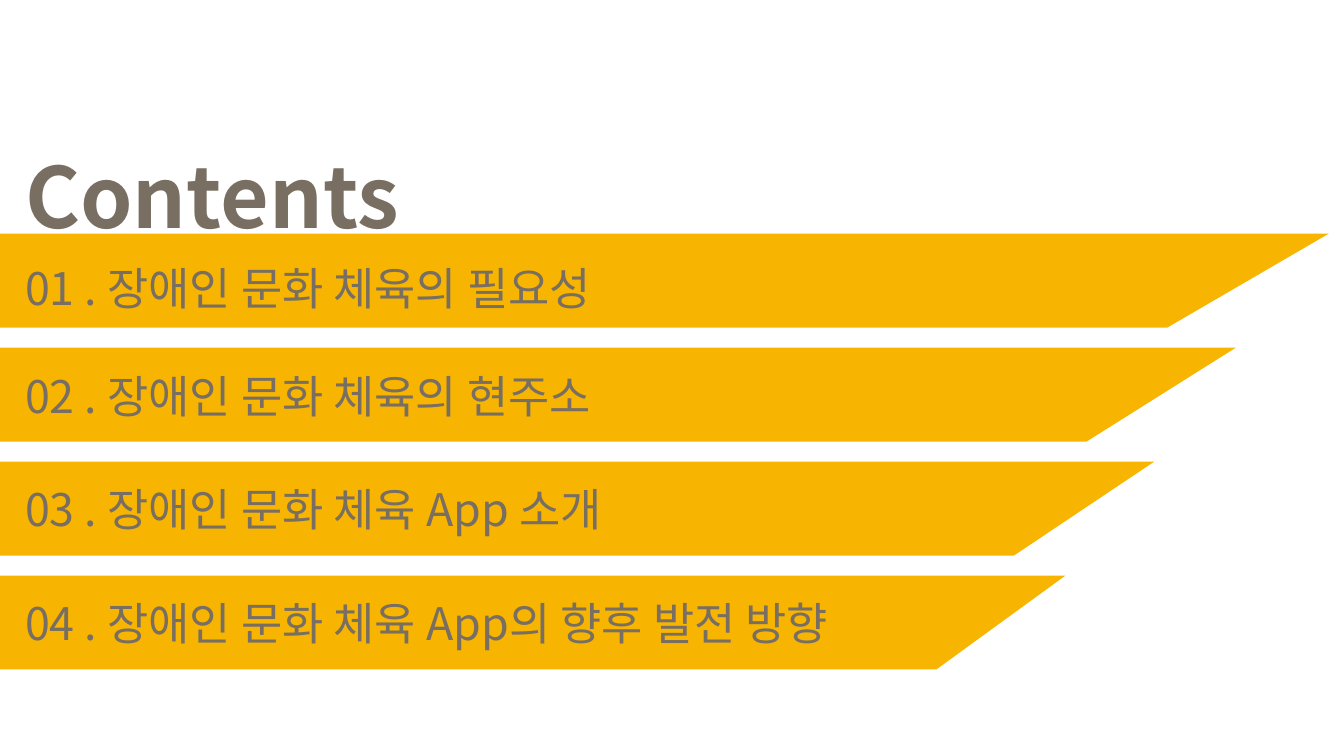
import pptx
import pptx.util
import pptx.dml.color
import pptx.enum.text
import pptx.oxml.ns
import lxml.etree

Pt = pptx.util.Pt
qn = pptx.oxml.ns.qn
AMBER = pptx.dml.color.RGBColor(0xF7, 0xB4, 0x00)
TAUPE = pptx.dml.color.RGBColor(0x78, 0x6E, 0x62)
FONT = "Noto Sans CJK KR"

LEFT = 10.8
BAR_TOP, BAR_HEIGHT, BAR_PITCH = 167, 67, 81.4
ITEMS = [
    ("01 . 장애인 문화 체육의 필요성", 949, 833.8, 15.1, 682),
    ("02 . 장애인 문화 체육의 현주소", 882.7, 776.2, 10.8, 682),
    ("03 . 장애인 문화 체육 App 소개", 824.4, 724.3, 10.8, 592.6),
    ("04 . 장애인 문화 체육 App의 향후 발전 방향", 761, 668.9, 10.8, 682),
]


def write(sp, text, size, bold=False):
    tf = sp.text_frame
    tf.word_wrap = True
    tf.auto_size = pptx.enum.text.MSO_AUTO_SIZE.NONE
    tf.vertical_anchor = pptx.enum.text.MSO_ANCHOR.MIDDLE
    p = tf.paragraphs[0]
    p.text = text
    p.alignment = pptx.enum.text.PP_ALIGN.LEFT
    p.font.size = Pt(size)
    p.font.bold = bold
    p.font.color.rgb = TAUPE
    p.font.name = FONT
    props = p._p.pPr.find(qn("a:defRPr"))
    lxml.etree.SubElement(props, qn("a:ea")).set("typeface", FONT)


def add_title(s, left, top, width, height):
    sp = s.shapes.title
    sp.left, sp.top = Pt(left), Pt(top)
    sp.width, sp.height = Pt(width), Pt(height)
    write(sp, "Contents", 60, bold=True)


def add_item(s, top, height, text, top_edge, bottom_edge, offset, text_width):
    outline = s.shapes.build_freeform(0, Pt(top))
    outline.add_line_segments([
        (Pt(top_edge), Pt(top)),
        (Pt(bottom_edge), Pt(top + height)),
        (0, Pt(top + height)),
    ], close=True)
    bar = outline.convert_to_shape()
    bar.shadow.inherit = False
    bar.fill.solid()
    bar.fill.fore_color.rgb = AMBER
    bar.line.fill.background()
    label = s.shapes.add_textbox(Pt(LEFT), Pt(top + offset), Pt(text_width), Pt(46))
    write(label, text, 32)


def main():
    prs = pptx.Presentation()
    prs.slide_width, prs.slide_height = Pt(960), Pt(540)
    s = prs.slides.add_slide(prs.slide_layouts[5])
    add_title(s, LEFT, 99.4, 602, 80)
    for i, item in enumerate(ITEMS):
        add_item(s, BAR_TOP + i * BAR_PITCH, BAR_HEIGHT, *item)
    prs.save("out.pptx")


if __name__ == "__main__":
    main()
